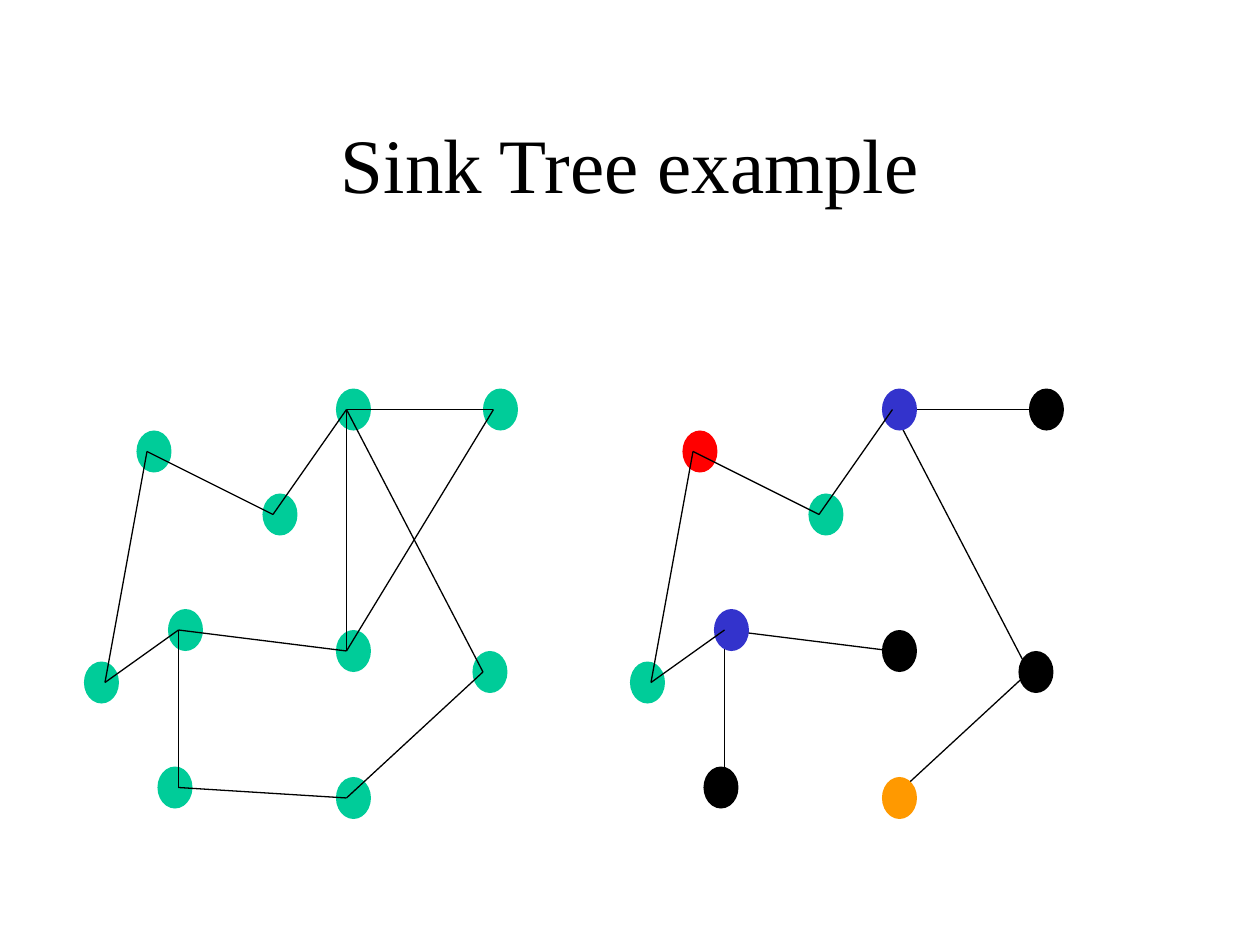
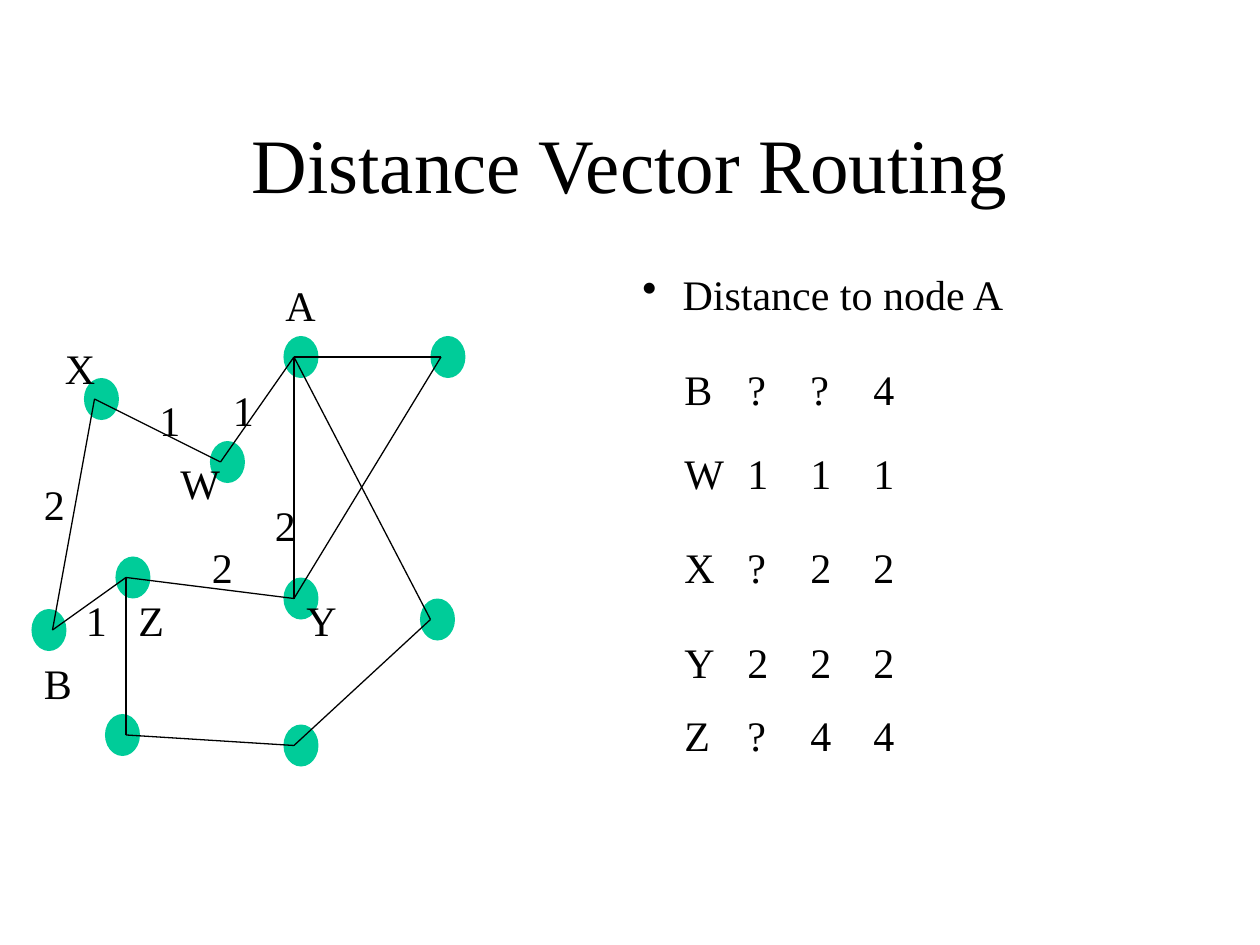
"""Build two slides on sink trees and distance vector routing."""
import pptx
import pptx.dml.color
import pptx.enum.shapes
import pptx.enum.text
import pptx.oxml.ns
import pptx.util
from lxml import etree

Pt = pptx.util.Pt
RGBColor = pptx.dml.color.RGBColor

BLACK = RGBColor(0x00, 0x00, 0x00)
GREEN = RGBColor(0x00, 0xCC, 0x99)
RED = RGBColor(0xFF, 0x00, 0x00)
ORANGE = RGBColor(0xFF, 0x99, 0x00)
BLUE = RGBColor(0x33, 0x33, 0xCC)
FONT = "Times New Roman"

NODE_WIDTH, NODE_HEIGHT = 20, 24
NODES = {
    "Z": (96, 348), "X": (78, 246), "B": (48, 378), "W": (150, 282),
    "A": (192, 222), "F": (270, 372), "D": (90, 438), "Y": (192, 360),
    "E": (192, 444), "G": (276, 222),
}
RIGHT_ANCHORED = "BD"
EDGES = "BZ WA XW ZY YG DZ FA EF DE BX AG YA".split()

SINK_TREE_LAYERS = [
    ("X", RED, ["EF"]),
    ("E", ORANGE, []),
    ("BW", GREEN, ["XW", "BX"]),
    ("FDYG", BLACK, ["ZY", "DZ", "FA", "AG"]),
    ("ZA", BLUE, ["BZ", "WA"]),
]

LABEL_SIZE, WEIGHT_WIDTH = 36, 24
NODE_LABELS = {
    "A": (156, 156), "B": (18, 372), "X": (30, 192),
    "W": (96, 258), "Z": (72, 336), "Y": (168, 336),
}
EDGE_WEIGHTS = [
    ("1", 126, 216), ("2", 150, 282), ("2", 114, 306),
    ("1", 42, 336), ("1", 84, 222), ("2", 18, 270),
]
DISTANCES = [
    (204, "B??4"), (252, "W111"), (306, "X?22"), (360, "Y222"), (402, "Z?44"),
]


def add_text(slide, text, left, top, width, height, size=24):
    """Add a one-run text box and return its shape."""
    shape = slide.shapes.add_textbox(Pt(left), Pt(top), Pt(width), Pt(height))
    shape.text_frame.word_wrap = True
    run = shape.text_frame.paragraphs[0].add_run()
    run.text = text
    run.font.name = FONT
    run.font.size = Pt(size)
    run.font.color.rgb = BLACK
    return shape


def add_title(slide, text):
    """Add the centred slide title."""
    shape = add_text(slide, text, 54, 48, 612, 90, size=44)
    shape.text_frame.vertical_anchor = pptx.enum.text.MSO_ANCHOR.MIDDLE
    shape.text_frame.paragraphs[0].alignment = pptx.enum.text.PP_ALIGN.CENTER


def add_bullet(slide, text, left, top, width, height, indent=23):
    """Add a text box holding one bulleted line."""
    shape = add_text(slide, text, left, top, width, height)
    properties = shape.text_frame.paragraphs[0]._p.get_or_add_pPr()
    properties.set("marL", str(Pt(indent)))
    properties.set("indent", str(-Pt(indent)))
    bullet = etree.SubElement(properties, pptx.oxml.ns.qn("a:buChar"))
    bullet.set("char", "•")


def add_node(slide, name, colour, offset):
    """Add a network node as a plain ellipse."""
    x, y = NODES[name]
    shape = slide.shapes.add_shape(
        pptx.enum.shapes.MSO_SHAPE.OVAL,
        Pt(x + offset[0]), Pt(y + offset[1]), Pt(NODE_WIDTH), Pt(NODE_HEIGHT))
    shape.shadow.inherit = False
    shape.fill.solid()
    shape.fill.fore_color.rgb = colour
    shape.line.fill.background()


def anchor(name, offset):
    """Return the point inside a node where its edges meet."""
    x, y = NODES[name]
    shift = 12 if name in RIGHT_ANCHORED else 6
    return Pt(x + shift + offset[0]), Pt(y + NODE_HEIGHT / 2 + offset[1])


def add_edge(slide, edge, offset):
    """Add a thin line between the two nodes that an edge names."""
    start, end = (anchor(name, offset) for name in edge)
    line = slide.shapes.add_connector(
        pptx.enum.shapes.MSO_CONNECTOR.STRAIGHT, *start, *end)
    line.line.color.rgb = BLACK
    line.line.width = Pt(0.75)
    etree.SubElement(line._element.spPr, pptx.oxml.ns.qn("a:effectLst"))


def add_network(slide, layers, offset):
    """Draw layers of nodes and edges from back to front."""
    for names, colour, edges in layers:
        for name in names:
            add_node(slide, name, colour, offset)
        for edge in edges:
            add_edge(slide, edge, offset)


def add_distances(slide, left=384, step=36):
    """Add the rows of node names and successive distances."""
    for top, row in DISTANCES:
        for column, text in enumerate(row):
            add_text(slide, text, left + column * step, top, LABEL_SIZE, LABEL_SIZE)


def add_slide(presentation, title):
    """Add a blank slide with a title."""
    slide = presentation.slides.add_slide(presentation.slide_layouts[6])
    add_title(slide, title)
    return slide


def main():
    """Build and save the presentation."""
    presentation = pptx.Presentation()
    presentation.slide_width, presentation.slide_height = Pt(720), Pt(540)
    full_network = [(NODES, GREEN, EDGES)]

    slide = add_slide(presentation, "Sink Tree example")
    add_network(slide, full_network, (0, 0))
    add_network(slide, SINK_TREE_LAYERS, (312, 0))

    slide = add_slide(presentation, "Distance Vector Routing")
    add_network(slide, full_network, (-30, -30))
    for name, (left, top) in NODE_LABELS.items():
        add_text(slide, name, left, top, LABEL_SIZE, LABEL_SIZE)
    for weight, left, top in EDGE_WEIGHTS:
        add_text(slide, weight, left, top, WEIGHT_WIDTH, LABEL_SIZE)
    add_distances(slide)
    add_bullet(slide, "Distance to node A", 360, 150, 228, LABEL_SIZE)

    presentation.save("out.pptx")


if __name__ == "__main__":
    main()
